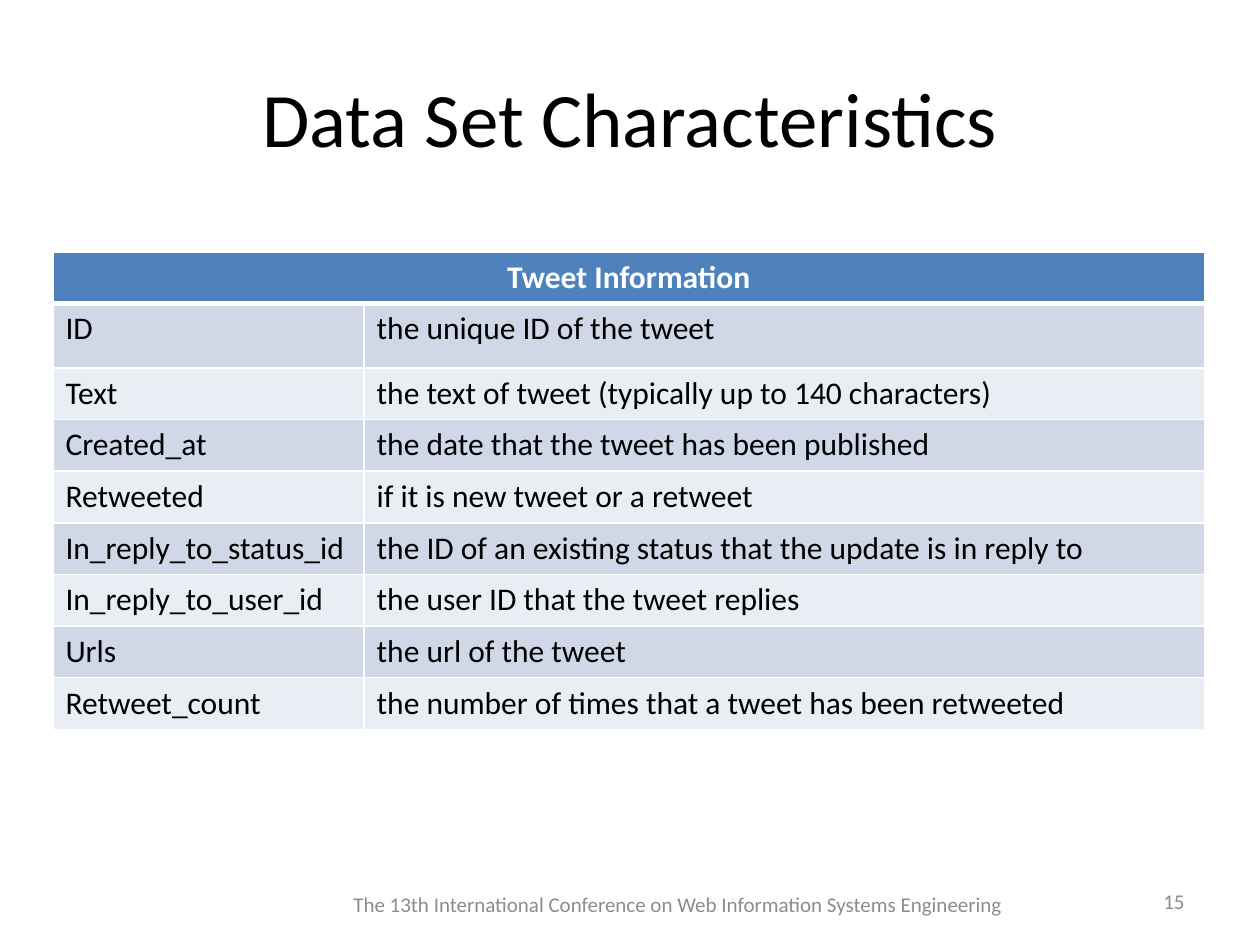
from lxml.etree import fromstring
from pptx import Presentation
from pptx.dml.color import RGBColor
from pptx.enum.text import MSO_ANCHOR, PP_ALIGN
from pptx.oxml.ns import nsdecls
from pptx.util import Inches, Pt

COLORS = {"text": "000000", "head": "4F81BD", "odd": "D0D8E8",
          "even": "E9EDF4", "line": "FFFFFF", "foot": "8C8C8C"}
HEAD = "Tweet Information"
FIELDS = [
    ("ID", "the unique ID of the tweet"),
    ("Text", "the text of tweet (typically up to 140 characters)"),
    ("Created_at", "the date that the tweet has been published"),
    ("Retweeted", "if it is new tweet or a retweet"),
    ("In_reply_to_status_id",
     "the ID of an existing status that the update is in reply to"),
    ("In_reply_to_user_id", "the user ID that the tweet replies"),
    ("Urls", "the url of the tweet"),
    ("Retweet_count", "the number of times that a tweet has been retweeted"),
]


def write(frame, text, size, color, align, bold=False):
    frame.text = text
    para = frame.paragraphs[0]
    para.alignment = align
    font = para.font
    font.name, font.size, font.bold = "Calibri", Pt(size), bold
    font.color.rgb = RGBColor.from_string(COLORS[color])


def add_title(slide, left, top, width, height):
    title = slide.shapes.title
    title.left, title.top = Inches(left), Inches(top)
    title.width, title.height = Inches(width), Inches(height)
    title.text_frame.vertical_anchor = MSO_ANCHOR.MIDDLE
    write(title.text_frame, "Data Set Characteristics", 44, "text",
          PP_ALIGN.CENTER)


def add_note(slide, text, align, left, top, width, height):
    box = slide.shapes.add_textbox(Inches(left), Inches(top),
                                   Inches(width), Inches(height))
    frame = box.text_frame
    frame.word_wrap = True
    frame.vertical_anchor = MSO_ANCHOR.MIDDLE
    write(frame, text, 12, "foot", align)


def set_lines(cell, upper, lower):
    # Borders come before the fill in the cell properties
    props = cell._tc.get_or_add_tcPr()
    sides = {"L": 1, "R": 1, "T": upper, "B": lower}
    for spot, (side, width) in enumerate(sides.items()):
        props.insert(spot, fromstring(
            f'<a:ln{side} {nsdecls("a")} w="{Pt(width)}"><a:solidFill>'
            f'<a:srgbClr val="{COLORS["line"]}"/></a:solidFill></a:ln{side}>'))


def add_fields(slide, left, top, width, height):
    rows = [(HEAD, "")] + FIELDS
    table = slide.shapes.add_table(len(rows), 2, Inches(left), Inches(top),
                                   Inches(width), Inches(height)).table
    first = 2.47
    table.columns[0].width = Inches(first)
    table.columns[1].width = Inches(width - first)
    table.cell(0, 0).merge(table.cell(0, 1))

    for row, texts in enumerate(rows):
        table.rows[row].height = Inches(0.51 if row == 1 else 0.41)
        shade = "head" if row == 0 else "odd" if row % 2 else "even"
        for col, text in enumerate(texts):
            cell = table.cell(row, col)
            cell.fill.solid()
            cell.fill.fore_color.rgb = RGBColor.from_string(COLORS[shade])
            set_lines(cell, 3 if row == 1 else 1, 3 if row == 0 else 1)
            if row:
                align = PP_ALIGN.JUSTIFY if col else PP_ALIGN.LEFT
                write(cell.text_frame, text, 18, "text", align)
    write(table.cell(0, 0).text_frame, HEAD, 18, "line", PP_ALIGN.CENTER, True)


def main():
    deck = Presentation()
    deck.slide_width, deck.slide_height = Inches(10), Inches(7.5)
    slide = deck.slides.add_slide(deck.slide_layouts[5])

    add_title(slide, 0.5, 0.3, 9, 1.25)
    add_fields(slide, 0.42, 2, 9.14, 3.79)
    # Footer and page number
    add_note(slide, "The 13th International Conference on Web Information "
             "Systems Engineering", PP_ALIGN.CENTER, 2.17, 7, 6.42, 0.35)
    add_note(slide, "15", PP_ALIGN.RIGHT, 7.17, 6.95, 2.33, 0.4)
    deck.save("out.pptx")


if __name__ == "__main__":
    main()
